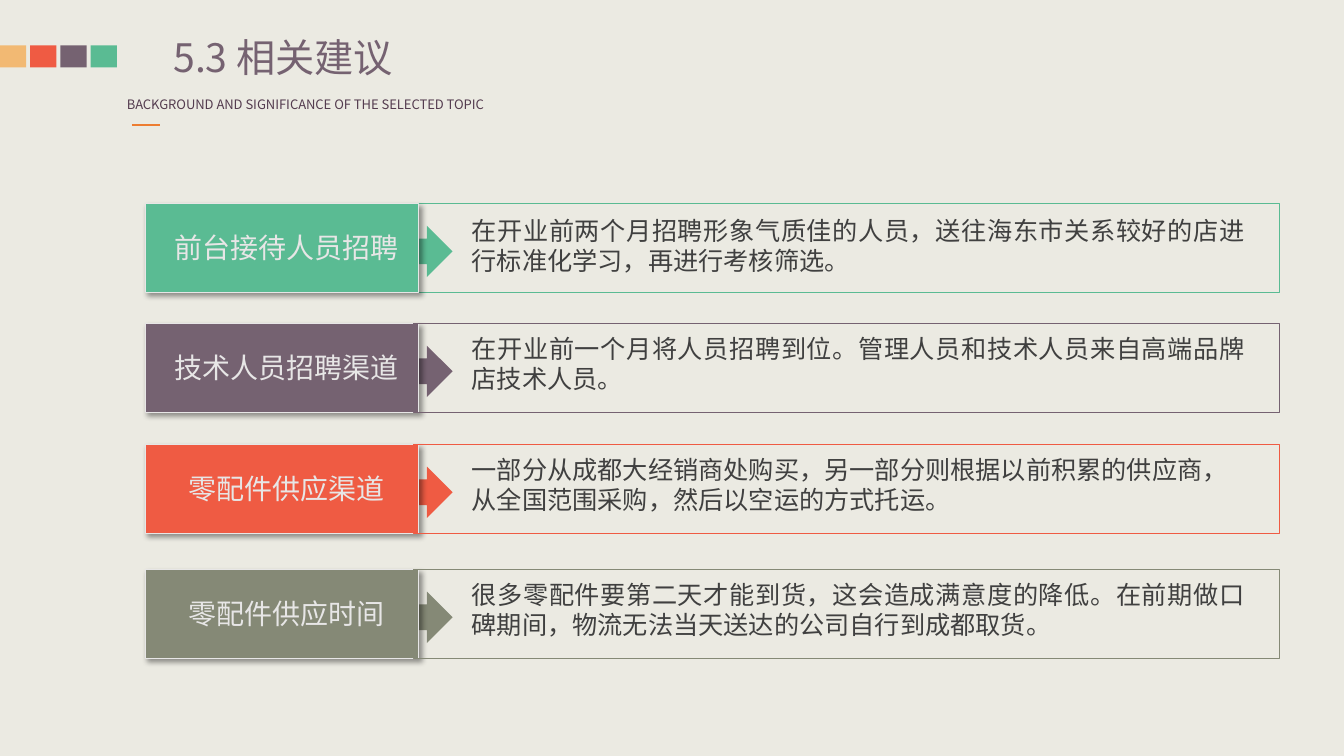
from lxml import etree
from pptx import Presentation
from pptx.dml.color import RGBColor
from pptx.enum.shapes import MSO_CONNECTOR, MSO_SHAPE
from pptx.enum.text import PP_ALIGN
from pptx.oxml import parse_xml
from pptx.oxml.ns import nsdecls, qn
from pptx.util import Pt

RECT, ARROW = MSO_SHAPE.RECTANGLE, MSO_SHAPE.RIGHT_ARROW
LINE = MSO_CONNECTOR.STRAIGHT
LEFT, MID, FULL = PP_ALIGN.LEFT, PP_ALIGN.CENTER, PP_ALIGN.JUSTIFY

CREAM = RGBColor(0xEB, 0xEA, 0xE2)
GREEN = RGBColor(0x5A, 0xBB, 0x93)
PLUM = RGBColor(0x75, 0x62, 0x71)
RED = RGBColor(0xEF, 0x5B, 0x43)
OLIVE = RGBColor(0x85, 0x89, 0x76)
SAND = RGBColor(0xF2, 0xB9, 0x73)
ORANGE = RGBColor(0xED, 0x7D, 0x31)
WINE = RGBColor(0x54, 0x3C, 0x4F)
PALE = RGBColor(0xE7, 0xE6, 0xE6)
DARK = RGBColor(0x40, 0x40, 0x40)

SHADE = (
    f'<a:effectLst {nsdecls("a")}>'
    '<a:outerShdw blurRad="50800" dist="38100" dir="2700000" algn="tl" rotWithShape="0">'
    '<a:srgbClr val="000000"><a:alpha val="40000"/></a:srgbClr>'
    '</a:outerShdw></a:effectLst>'
)

ROWS = [
    (145.4, GREEN, "前台接待人员招聘", FULL,
     "在开业前两个月招聘形象气质佳的人员，送往海东市关系较好的店进行标准化学习，再进行考核筛选。"),
    (231.1, PLUM, "技术人员招聘渠道", FULL,
     "在开业前一个月将人员招聘到位。管理人员和技术人员来自高端品牌店技术人员。"),
    (317.5, RED, "零配件供应渠道", LEFT,
     "一部分从成都大经销商处购买，另一部分则根据以前积累的供应商，从全国范围采购，然后以空运的方式托运。"),
    (406.8, OLIVE, "零配件供应时间", FULL,
     "很多零配件要第二天才能到货，这会造成满意度的降低。在前期做口碑期间，物流无法当天送达的公司自行到成都取货。"),
]


class Page:
    font = "Noto Sans CJK SC"
    lead = 1.19

    def __init__(self, slide):
        self.slide = slide
        back = slide.background.fill
        back.solid()
        back.fore_color.rgb = CREAM

    def shape(self, kind, x, y, w, h, fill=None, line=None, shade=False):
        item = self.slide.shapes.add_shape(kind, Pt(x), Pt(y), Pt(w), Pt(h))
        if fill is None:
            item.fill.background()
        else:
            item.fill.solid()
            item.fill.fore_color.rgb = fill
        if line is None:
            item.line.fill.background()
        else:
            item.line.color.rgb = line
            item.line.width = Pt(0.75)
        if shade:
            item._element.spPr.append(parse_xml(SHADE))
        else:
            item.shadow.inherit = False

    def rule(self, x, y, w, color):
        item = self.slide.shapes.add_connector(LINE, Pt(x), Pt(y), Pt(x + w), Pt(y))
        item.line.color.rgb = color
        item.line.width = Pt(1.5)
        etree.SubElement(item._element.spPr, qn("a:effectLst"))

    def text(self, words, x, y, w, h, size=18, color=DARK, align=LEFT, inset=True):
        frame = self.slide.shapes.add_textbox(Pt(x), Pt(y), Pt(w), Pt(h)).text_frame
        frame.word_wrap = True
        if not inset:
            frame.margin_left = frame.margin_right = 0
            frame.margin_top = frame.margin_bottom = 0
        para = frame.paragraphs[0]
        para.alignment = align
        para.line_spacing = Pt(round(size * self.lead, 1))
        run = para.add_run()
        run.text = words
        run.font.size = Pt(size)
        run.font.name = self.font
        run.font.color.rgb = color
        east = etree.SubElement(run.font._element, qn("a:ea"))
        east.set("typeface", self.font)

    def label(self, top, color, name):
        self.shape(ARROW, 277.9, top + 15.8, 45.4, 36.7, color)
        self.shape(RECT, 103.7, top, 195.1, 63.4, color, PALE, shade=True)
        self.text(name, 111.6, top + 15.8, 185.8, 31.7, size=20, color=PALE, align=MID)

    def panel(self, top, color, words, align, drop=3.6, fill=None):
        self.shape(RECT, 295.2, top, 618.5, 63.4, fill, color)
        self.text(words, 329.8, top + drop, 566.6, 51.1, align=align)


def main():
    deck = Presentation()
    deck.slide_width, deck.slide_height = Pt(960), Pt(540)
    page = Page(deck.slides.add_slide(deck.slide_layouts[6]))

    for i, color in enumerate([SAND, RED, PLUM, GREEN]):
        page.shape(RECT, i * 21.6, 32.4, 18.7, 15.8, color)
    page.text("5.3 相关建议", 123.8, 24.5, 287.3, 33.8, size=28, color=PLUM, inset=False)
    page.text("BACKGROUND AND SIGNIFICANCE OF THE SELECTED TOPIC",
              83.5, 65.5, 310, 18.7, size=9.3, color=WINE)
    page.rule(94.3, 89.3, 20.2, ORANGE)

    for i, (top, color, name, align, words) in enumerate(ROWS):
        if i == 0:
            page.panel(top, color, words, align, drop=5, fill=CREAM)
            page.label(top, color, name)
        else:
            page.label(top, color, name)
            page.panel(top, color, words, align)

    deck.save("out.pptx")


if __name__ == "__main__":
    main()
